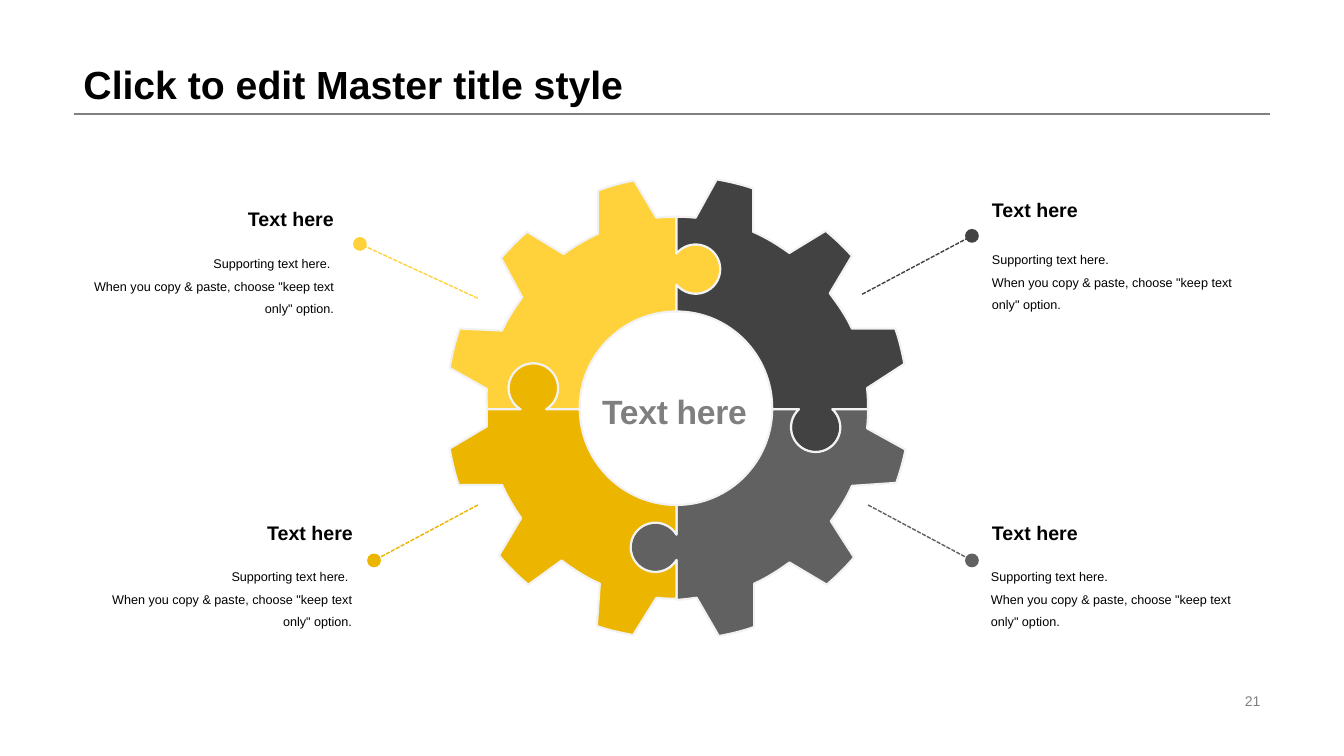
"""Build a slide with a four-piece puzzle gear and four labelled callouts."""
import math

from lxml import etree
from pptx import Presentation
from pptx.dml.color import RGBColor
from pptx.enum import dml, shapes, text
from pptx.oxml import ns
from pptx.util import Inches, Pt

BLACK = RGBColor(0x00, 0x00, 0x00)
GREY = RGBColor(0x80, 0x80, 0x80)
HUB_GREY = RGBColor(0x7F, 0x7F, 0x7F)
OUTLINE = RGBColor(0xF2, 0xF2, 0xF2)
YELLOW = RGBColor(0xFF, 0xD2, 0x3C)
CHARCOAL = RGBColor(0x42, 0x42, 0x42)
SLATE = RGBColor(0x61, 0x61, 0x61)
GOLD = RGBColor(0xEC, 0xB5, 0x00)

GEAR_CENTER = (6.71, 4.05)
KNOB_RADIUS = 0.49 / 2
KNOB_CURVES = 8
HUB_POINTS = [(6.71, 3.09), (7.66, 4.06), (6.71, 5.01), (5.75, 4.06)]
KNOB_CENTERS = [(6.9, 2.67), (8.09, 4.24), (6.5, 5.43), (5.29, 3.85)]
RIMS = [
    [(6.71, 2.15), (6.9, 2.16), (7.11, 1.78), (7.47, 1.87), (7.47, 2.3),
     (7.83, 2.51), (8.19, 2.29), (8.45, 2.54), (8.23, 2.91), (8.45, 3.26),
     (8.88, 3.26), (8.97, 3.61), (8.6, 3.85), (8.61, 4.06)],
    [(8.61, 4.06), (8.6, 4.25), (8.98, 4.46), (8.89, 4.79), (8.45, 4.82),
     (8.24, 5.17), (8.47, 5.53), (8.2, 5.8), (7.83, 5.58), (7.48, 5.79),
     (7.48, 6.22), (7.13, 6.31), (6.91, 5.93), (6.71, 5.95)],
    [(6.71, 5.94), (6.51, 5.93), (6.28, 6.3), (5.92, 6.21), (5.95, 5.79),
     (5.57, 5.56), (5.24, 5.8), (4.95, 5.51), (5.17, 5.14), (4.98, 4.81),
     (4.55, 4.81), (4.46, 4.45), (4.83, 4.23), (4.83, 4.06)],
    [(4.83, 4.06), (4.83, 3.86), (4.46, 3.65), (4.56, 3.26), (4.98, 3.28),
     (5.18, 2.95), (4.97, 2.56), (5.23, 2.3), (5.59, 2.52), (5.93, 2.32),
     (5.93, 1.89), (6.29, 1.79), (6.51, 2.16), (6.71, 2.15)],
]
PIECES = [(3, YELLOW), (0, CHARCOAL), (1, SLATE), (2, GOLD)]

LEFT, CENTER, RIGHT = text.PP_ALIGN.LEFT, text.PP_ALIGN.CENTER, text.PP_ALIGN.RIGHT
ADVICE = 'When you copy & paste, choose "keep text only" option.'
POINTERS = [
    ((8.55, 2.92), (9.64, 2.34), CHARCOAL),
    ((8.61, 5.01), (9.64, 5.56), SLATE),
    ((4.74, 5.01), (3.71, 5.56), GOLD),
    ((4.74, 2.96), (3.57, 2.42), YELLOW),
]
CALLOUTS = [
    ((0.73, 1.99, 2.68, 0.35), (0.73, 2.39, 2.68, 0.82), RIGHT),
    ((0.73, 5.11, 2.87, 0.35), (0.73, 5.51, 2.86, 0.79), RIGHT),
    ((9.74, 1.91, 2.87, 0.35), (9.74, 2.31, 2.87, 0.9), LEFT),
    ((9.74, 5.11, 2.87, 0.35), (9.73, 5.51, 2.87, 0.79), LEFT),
]


def straight(end):
    """Return the curve points of a straight edge."""
    return [end, end, end]


def sweep(center, start, end):
    """Return the curve points of an arc about a center."""
    x0, y0 = start[0] - center[0], start[1] - center[1]
    x1, y1 = end[0] - center[0], end[1] - center[1]
    turn = math.remainder(math.atan2(y1, x1) - math.atan2(y0, x0), math.tau)
    pull = 4 / 3 * math.tan(turn / 4)
    return [(start[0] - pull * y0, start[1] + pull * x0),
            (end[0] + pull * y1, end[1] - pull * x1), end]


def knob_points(side):
    """Return points around the knob of a seam, from hub to rim."""
    x, y = KNOB_CENTERS[side]
    offset = abs(y - HUB_POINTS[side][1] if side % 2 else x - HUB_POINTS[side][0])
    half = math.pi - math.acos(offset / KNOB_RADIUS)
    angles = [side * math.pi / 2 + half * (1 - 2 * i / KNOB_CURVES)
              for i in range(KNOB_CURVES + 1)]
    return [(x + KNOB_RADIUS * math.cos(a), y + KNOB_RADIUS * math.sin(a)) for a in angles]


def seam(points, center, end):
    """Return the curve points of a puzzle edge that runs round its knob."""
    curves = straight(points[0])
    for start, stop in zip(points, points[1:]):
        curves += sweep(center, start, stop)
    return curves + straight(end)


def piece_outline(side):
    """Return the start and the curve points of one puzzle piece."""
    following = (side + 1) % 4
    rim = RIMS[side]
    hub_start, hub_end = HUB_POINTS[side], HUB_POINTS[following]
    curves = seam(knob_points(side), KNOB_CENTERS[side], rim[0])
    for index, (start, stop) in enumerate(zip(rim, rim[1:])):
        curves += straight(stop) if index % 2 else sweep(GEAR_CENTER, start, stop)
    curves += seam(knob_points(following)[::-1], KNOB_CENTERS[following], hub_end)
    return [hub_start] + curves + sweep(GEAR_CENTER, hub_end, hub_start)


def bend_edges(shape):
    """Turn each three line points of a freeform into one curve."""
    contour = shape.element.spPr.find(".//" + ns.qn("a:path"))
    closing = contour.find(ns.qn("a:close"))
    edges = contour.findall(ns.qn("a:lnTo"))
    for first in range(0, len(edges), 3):
        curve = etree.SubElement(contour, ns.qn("a:cubicBezTo"))
        for edge in edges[first:first + 3]:
            curve.append(edge[0])
            contour.remove(edge)
    contour.append(closing)


def add_piece(slide, side, color):
    """Draw one puzzle piece of the gear."""
    points = [(Inches(x), Inches(y)) for x, y in piece_outline(side)]
    builder = slide.shapes.build_freeform(*points[0])
    builder.add_line_segments(points[1:], close=True)
    shape = builder.convert_to_shape()
    bend_edges(shape)
    shape.shadow.inherit = False
    shape.fill.solid()
    shape.fill.fore_color.rgb = color
    shape.line.color.rgb = OUTLINE
    shape.line.width = Pt(1.5)


def add_line(slide, start, end, color, dotted=False):
    """Draw a line, dashed with a round end when dotted."""
    line = slide.shapes.add_connector(
        shapes.MSO_CONNECTOR.STRAIGHT, *[Inches(v) for v in start + end])
    line.line.color.rgb = color
    line.line.width = Pt(1)
    properties = line.element.spPr
    if dotted:
        line.line.dash_style = dml.MSO_LINE.SQUARE_DOT
        outline = properties.find(ns.qn("a:ln"))
        outline.find(ns.qn("a:prstDash")).set("val", "sysDash")
        etree.SubElement(outline, ns.qn("a:tailEnd"), type="oval", w="lg", len="lg")
    etree.SubElement(properties, ns.qn("a:effectLst"))


def add_text(slide, box, lines, size, color=BLACK, bold=False, align=LEFT,
             spacing=1.0, anchor=text.MSO_ANCHOR.MIDDLE, wrap=True):
    """Add a text box with one paragraph per line and return its frame."""
    frame = slide.shapes.add_textbox(*[Inches(v) for v in box]).text_frame
    frame.word_wrap = wrap
    frame.vertical_anchor = anchor
    font_format = {"name": "Arial", "size": Pt(size), "bold": bold}
    for index, line in enumerate(lines):
        paragraph = frame.add_paragraph() if index else frame.paragraphs[0]
        paragraph.alignment = align
        paragraph.line_spacing = spacing
        run = paragraph.add_run()
        run.text = line
        for name, value in font_format.items():
            setattr(run.font, name, value)
        run.font.color.rgb = color
    return frame


def add_callout(slide, heading_box, support_box, align):
    """Add a heading with its supporting text."""
    add_text(slide, heading_box, ["Text here"], 14, bold=True, align=align, wrap=False)
    support = "Supporting text here. " if align == RIGHT else "Supporting text here."
    add_text(slide, support_box, [support, ADVICE], 9, align=align, spacing=1.5)


def main():
    """Build and save the slide."""
    presentation = Presentation()
    presentation.slide_width, presentation.slide_height = Inches(13.33), Inches(7.5)
    slide = presentation.slides.add_slide(presentation.slide_layouts[6])
    add_line(slide, (0.73, 1.13), (12.6, 1.13), GREY)
    add_text(slide, (0.73, 0, 11.87, 1.12), ["Click to edit Master title style"], 28,
             bold=True, spacing=0.9, anchor=text.MSO_ANCHOR.BOTTOM)
    add_text(slide, (9.42, 6.84, 3.18, 0.23), ["21"], 10, GREY, align=RIGHT)
    for side, color in PIECES:
        add_piece(slide, side, color)
    for start, end, color in POINTERS:
        add_line(slide, start, end, color, dotted=True)
    hub = add_text(slide, (5.78, 3.83, 1.82, 0.5), ["Text here"], 24, HUB_GREY,
                   bold=True, align=CENTER, wrap=False)
    hub.paragraphs[0].runs[0].font._element.set("spc", "-20")
    for callout in CALLOUTS:
        add_callout(slide, *callout)
    presentation.save("out.pptx")


if __name__ == "__main__":
    main()
